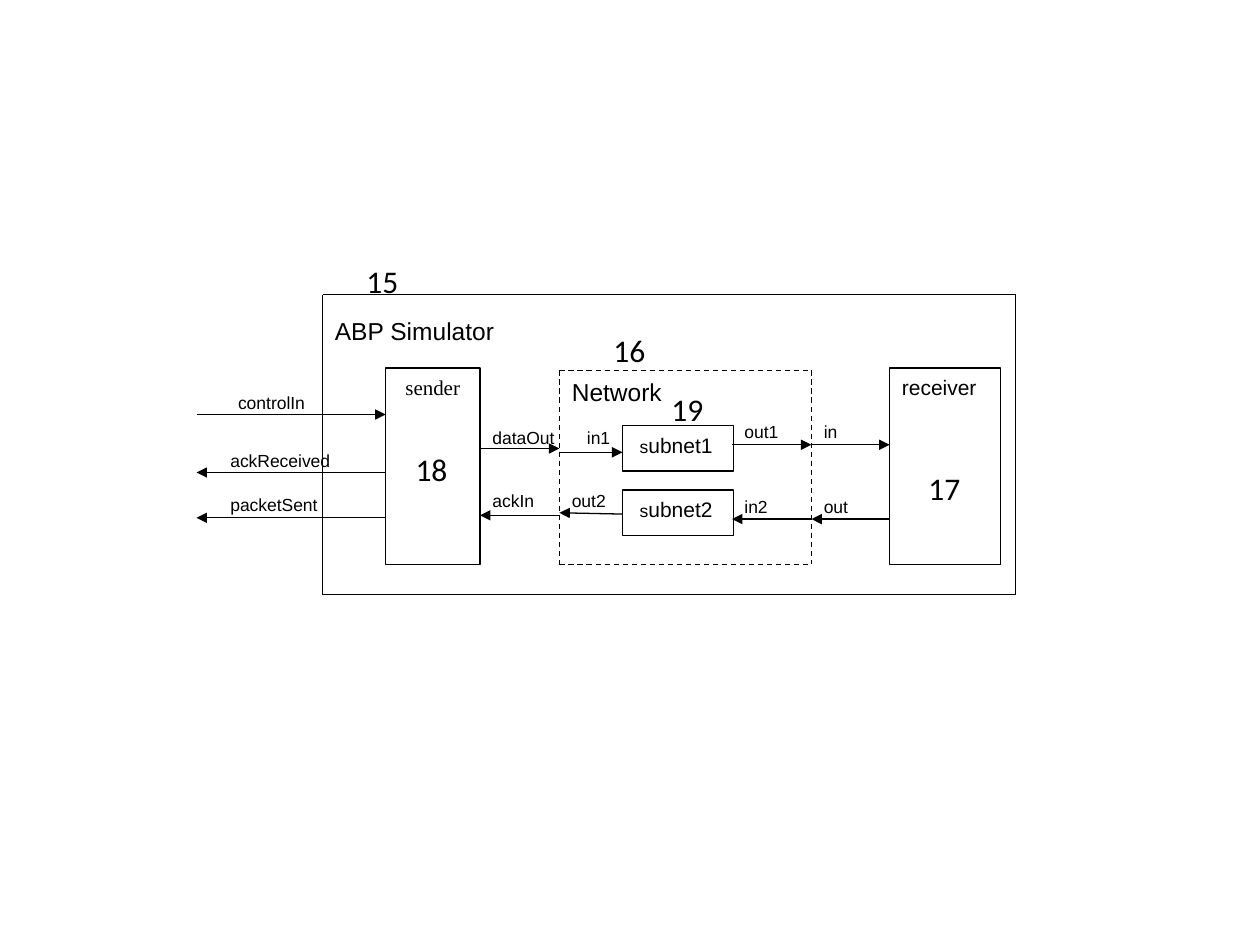
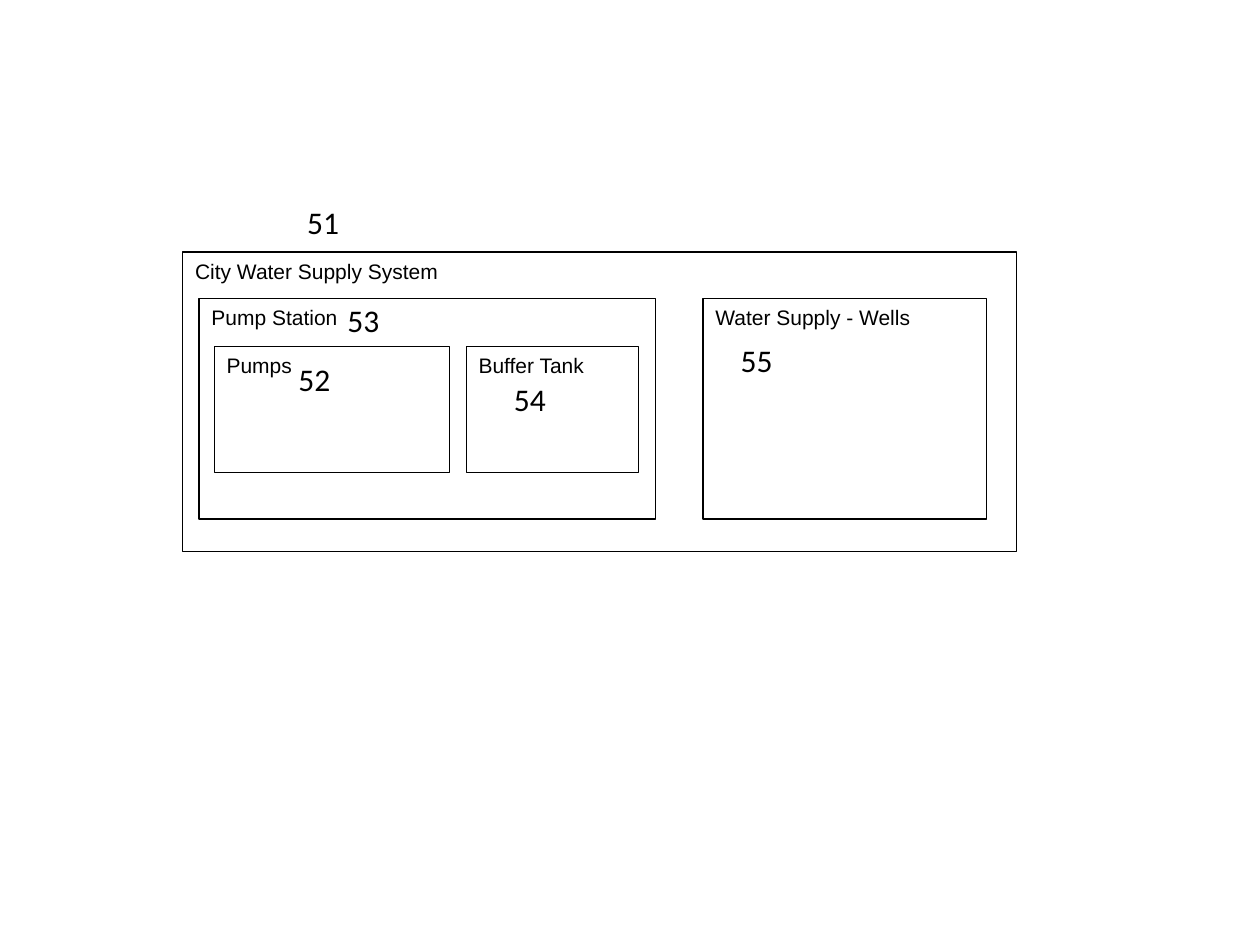
import pptx
import pptx.dml.color
import pptx.enum.dml
import pptx.enum.shapes
import pptx.enum.text
import pptx.oxml
import pptx.oxml.ns
import pptx.util
from lxml import etree

Inches = pptx.util.Inches
Pt = pptx.util.Pt
BLACK = pptx.dml.color.RGBColor(0x00, 0x00, 0x00)
WHITE = pptx.dml.color.RGBColor(0xFF, 0xFF, 0xFF)
ALIGN = pptx.enum.text.PP_ALIGN
DASH = pptx.enum.dml.MSO_LINE.DASH
SANS, SERIF, NUMERAL = "Arial", "Times New Roman", "Calibri"
EDGE = Pt(0.75)

# Simulator: columns where the blocks meet the signals
ENTRY, WALL = 1.56, 2.56
SEND_L, SEND_R = 3.06, 3.81
NET_L, SUB_L, SUB_R, NET_R = 4.44, 4.94, 5.81, 6.44
RECV_L = 7.06

# text, left, top, width, height, size
TITLES = [
    ("ABP Simulator", WALL, 2.46, 1.5, 0.36, 14),
    ("Network", NET_L, 2.94, 1, 0.36, 14),
]
# text, left, top, width, height
SIGNALS = [
    ("ackReceived", 1.73, 3.52, 1, 0.24),
    ("packetSent", 1.73, 3.87, 1, 0.24),
    ("dataOut", SEND_R, 3.34, 0.75, 0.25),
    ("ackIn", SEND_R, 3.84, 0.62, 0.25),
    ("in1", 4.56, 3.34, 0.5, 0.24),
    ("out2", NET_L, 3.84, 0.5, 0.24),
    ("out1", SUB_R, 3.29, 0.5, 0.24),
    ("in2", SUB_R, 3.89, 0.5, 0.28),
    ("in", NET_R, 3.29, 0.5, 0.24),
    ("out", NET_R, 3.89, 0.5, 0.24),
]
CONTROL = ("controlIn", ENTRY, 3.06, 1, 0.24)
CONTROL_PAD = 0.33
# from x, from y, to x, to y
ARROWS = [
    (ENTRY, 3.29, SEND_L, 3.29),
    (SEND_L, 3.75, ENTRY, 3.75),
    (SEND_L, 4.11, ENTRY, 4.11),
    (SEND_R, 3.56, NET_L, 3.56),
    (NET_L, 3.59, SUB_L, 3.59),
    (SUB_R, 3.53, NET_R, 3.53),
    (NET_R, 3.53, RECV_L, 3.53),
    (RECV_L, 4.12, NET_R, 4.12),
    (NET_R, 4.12, SUB_R, 4.12),
    (SUB_L, 4.08, NET_L, 4.07),
    (NET_L, 4.09, SEND_R, 4.09),
]
SUBNETS = [("1", 3.38), ("2", 3.89)]
# text, left, top
SIM_MARKS = [
    ("15", 2.81, 2.03), ("18", 3.2, 3.52), ("17", 7.27, 3.67),
    ("19", 5.23, 3.05), ("16", 4.77, 2.58),
]

# Water system: text, left, top, width, height
WATER = [
    ("City Water Supply System", 1.45, 2, 6.62, 2.38),
    ("Pump Station", 1.58, 2.37, 3.62, 1.75),
    ("Water Supply - Wells", 5.58, 2.37, 2.25, 1.75),
    ("Pumps", 1.7, 2.75, 1.87, 1),
    ("Buffer Tank", 3.7, 2.75, 1.37, 1),
]
WATER_MARKS = [
    ("51", 2.34, 1.56), ("53", 2.66, 2.34), ("52", 2.27, 2.81),
    ("55", 5.78, 2.66), ("54", 3.98, 2.97),
]


def style(par, size, face=SANS):
    par.font.size = Pt(size)
    par.font.name = face
    par.font.color.rgb = BLACK


def box(slide, text, left, top, width, height, size=12, edge=BLACK,
        face=SANS, align=ALIGN.LEFT):
    """Draw a rectangle with its text at the top; a white edge means no fill."""
    shape = slide.shapes.add_shape(
        pptx.enum.shapes.MSO_SHAPE.RECTANGLE,
        Inches(left), Inches(top), Inches(width), Inches(height))
    shape.shadow.inherit = False
    if edge == WHITE:
        shape.fill.background()
    else:
        shape.fill.solid()
        shape.fill.fore_color.rgb = WHITE
    shape.line.color.rgb = edge
    shape.line.width = EDGE
    frame = shape.text_frame
    frame.word_wrap = True
    frame.vertical_anchor = pptx.enum.text.MSO_ANCHOR.TOP
    par = frame.paragraphs[0]
    par.text = text
    par.alignment = align
    style(par, size, face)
    return shape


def label(slide, text, left, top, width, height, size=10):
    return box(slide, text, left, top, width, height, size, WHITE)


def wire(slide, x1, y1, x2, y2, dash=None, arrow=False):
    link = slide.shapes.add_connector(
        pptx.enum.shapes.MSO_CONNECTOR.STRAIGHT,
        Inches(x1), Inches(y1), Inches(x2), Inches(y2))
    link.line.color.rgb = BLACK
    link.line.width = EDGE
    if dash:
        link.line.dash_style = dash
    qn = pptx.oxml.ns.qn
    props = link.element.spPr
    if arrow:
        etree.SubElement(props.find(qn("a:ln")), qn("a:tailEnd"),
                         type="triangle")
    etree.SubElement(props, qn("a:effectLst"))


def border(slide, left, top, right, bottom, dash=None):
    """Outline an area with four separate lines."""
    for x in (left, right):
        wire(slide, x, top, x, bottom, dash)
    for y in (top, bottom):
        wire(slide, left, y, right, y, dash)


def marks(slide, items):
    """Place the reference numerals."""
    for text, left, top in items:
        note = slide.shapes.add_textbox(
            Inches(left), Inches(top), Inches(0.46), Inches(0.4))
        frame = note.text_frame
        frame.word_wrap = False
        frame.auto_size = pptx.enum.text.MSO_AUTO_SIZE.SHAPE_TO_FIT_TEXT
        frame.text = text
        style(frame.paragraphs[0], 18, NUMERAL)


def simulator(slide):
    for item in TITLES + SIGNALS:
        label(slide, *item)
    control = label(slide, *CONTROL)
    control.text_frame.margin_left = Inches(CONTROL_PAD)
    box(slide, "sender", SEND_L, 2.92, 0.75, 1.56, face=SERIF,
        align=ALIGN.CENTER)
    box(slide, "receiver", RECV_L, 2.92, 0.88, 1.56)
    for digit, top in SUBNETS:
        subnet = box(slide, " s", SUB_L, top, 0.88, 0.36, 10)
        rest = subnet.text_frame.paragraphs[0].add_run()
        rest.text = "ubnet" + digit
        rest.font.size = Pt(12)
    for ends in ARROWS:
        wire(slide, *ends, arrow=True)
    border(slide, NET_L, 2.94, NET_R, 4.48, DASH)
    border(slide, WALL, 2.34, 8.06, 4.72)
    marks(slide, SIM_MARKS)


def water(slide):
    for item in WATER:
        box(slide, *item)
    marks(slide, WATER_MARKS)


def main():
    deck = pptx.Presentation()
    deck.slide_width, deck.slide_height = Inches(10), Inches(7.5)
    for draw in (simulator, water):
        draw(deck.slides.add_slide(deck.slide_layouts[6]))
    deck.save("out.pptx")


if __name__ == "__main__":
    main()
